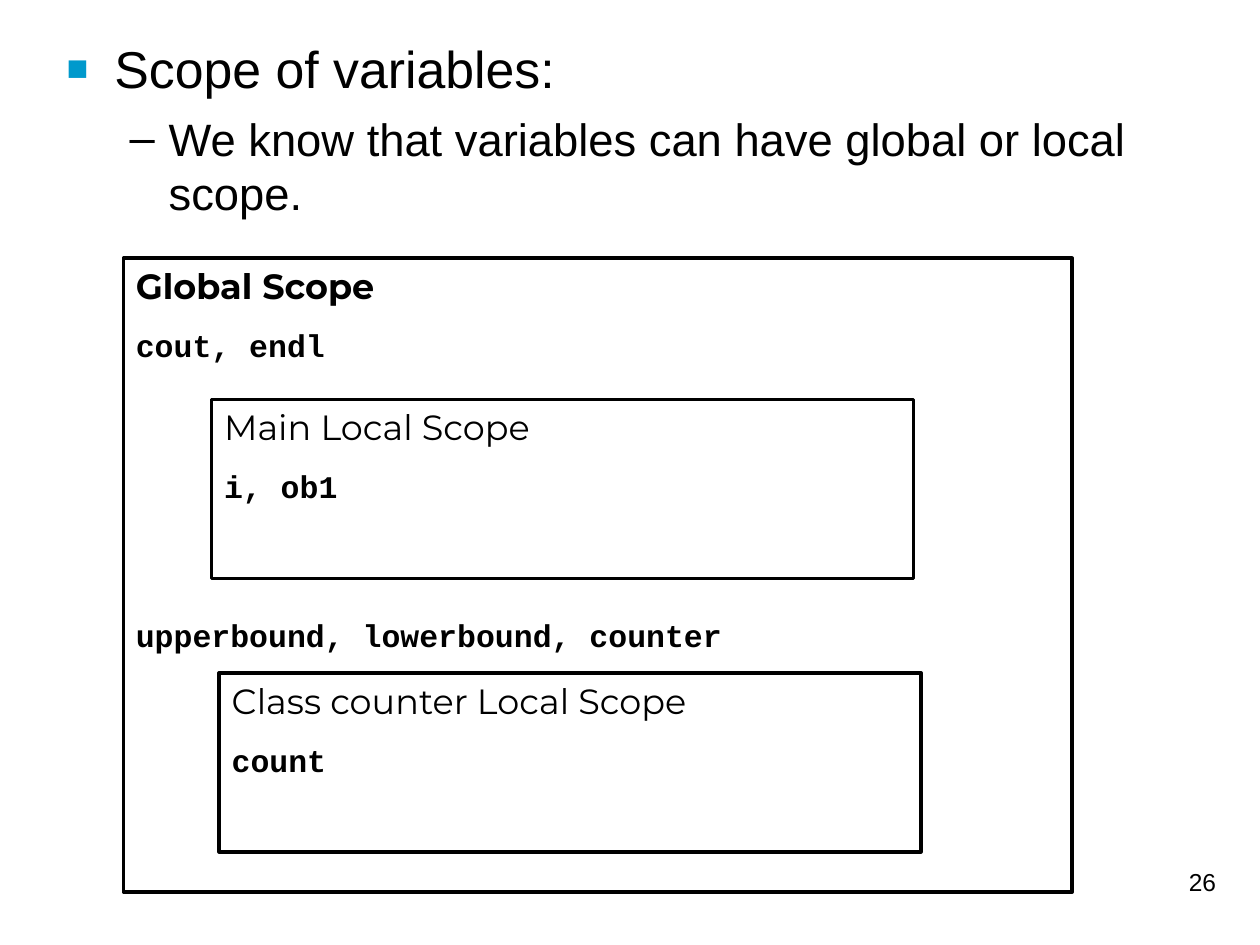
from lxml.etree import SubElement
from pptx import Presentation
from pptx.dml.color import RGBColor as RGB
from pptx.enum.shapes import MSO_SHAPE as Shape
from pptx.enum.text import MSO_ANCHOR as Anchor, PP_ALIGN as Align
from pptx.oxml.ns import qn
from pptx.util import Inches, Pt

COLORS = {"text": "000000", "line": "000000", "bullet": "0099CC"}
FORMATS = {
    "topic": {"name": "Arial", "size": Pt(29.6)},
    "point": {"name": "Arial", "size": Pt(25.9)},
    "number": {"name": "Arial", "size": Pt(14)},
    "global": {"name": "Montserrat", "size": Pt(20), "bold": True},
    "local": {"name": "Montserrat", "size": Pt(20)},
    "code": {"name": "Courier New", "size": Pt(18), "bold": True},
}


def set_frame(tf, top=0.05):
    """Set wrapping, top anchor and insets of a text frame."""
    values = {"word_wrap": True, "vertical_anchor": Anchor.TOP,
              "margin_left": Inches(0.1), "margin_right": Inches(0.1),
              "margin_top": Inches(top), "margin_bottom": Inches(0.05)}
    for key, value in values.items():
        setattr(tf, key, value)


def add_line(tf, text, style, before=0, align=Align.LEFT):
    """Add one formatted paragraph, filling the first one if it is empty."""
    p = tf.paragraphs[0] if not tf.text else tf.add_paragraph()
    p.alignment, p.space_before = align, Pt(before)
    r = p.add_run()
    r.text = text
    for key, value in FORMATS[style].items():
        setattr(r.font, key, value)
    r.font.color.rgb = RGB.from_string(COLORS["text"])
    return p


def set_bullet(p, char, color, percent, left, hang):
    """Give a paragraph a hanging bullet."""
    pPr = p._p.get_or_add_pPr()
    pPr.set("marL", str(Inches(left)))
    pPr.set("indent", str(-Inches(hang)))
    SubElement(SubElement(pPr, qn("a:buClr")), qn("a:srgbClr"), val=COLORS[color])
    SubElement(pPr, qn("a:buSzPct"), val=str(percent * 1000))
    SubElement(pPr, qn("a:buFont"), typeface="Arial")
    SubElement(pPr, qn("a:buChar"), char=char)


def add_body(s, box):
    """Place the topic and its point."""
    tf = s.shapes.add_textbox(*map(Inches, box)).text_frame
    set_frame(tf, 0.09)
    p = add_line(tf, "Scope of variables:", "topic")
    set_bullet(p, "■", "bullet", 70, 0.38, 0.38)
    p = add_line(tf, "We know that variables can have global or local scope.", "point", 7)
    set_bullet(p, "–", "text", 100, 0.81, 0.31)


def add_scope(s, box, title, style, names):
    """Draw a scope box with its title and (names, space before) lines."""
    sp = s.shapes.add_shape(Shape.RECTANGLE, *map(Inches, box))
    sp.shadow.inherit = False
    sp.fill.background()
    sp.line.color.rgb = RGB.from_string(COLORS["line"])
    sp.line.width = Pt(2)
    set_frame(sp.text_frame)
    add_line(sp.text_frame, title, style)
    for text, before in names:
        add_line(sp.text_frame, text, "code", before)


def add_number(s, box, number):
    """Place the slide number."""
    tf = s.shapes.add_textbox(*map(Inches, box)).text_frame
    set_frame(tf)
    add_line(tf, number, "number", align=Align.RIGHT)


def main():
    """Build and save the slide."""
    prs = Presentation()
    prs.slide_width, prs.slide_height = Inches(10), Inches(7.5)
    s = prs.slides.add_slide(prs.slide_layouts[6])
    add_body(s, (0.43, 0.2, 8.89, 1.57))
    add_number(s, (7.67, 6.83, 2.08, 0.5), "26")
    add_scope(s, (0.98, 2.05, 7.53, 5.03), "Global Scope", "global",
              [("cout, endl", 11.2), ("upperbound, lowerbound, counter", 144)])
    add_scope(s, (1.68, 3.17, 5.57, 1.42), "Main Local Scope", "local",
              [("i, ob1", 11.2)])
    add_scope(s, (1.74, 5.34, 5.57, 1.42), "Class counter Local Scope", "local",
              [("count", 11.2)])
    prs.save("out.pptx")


if __name__ == "__main__":
    main()
